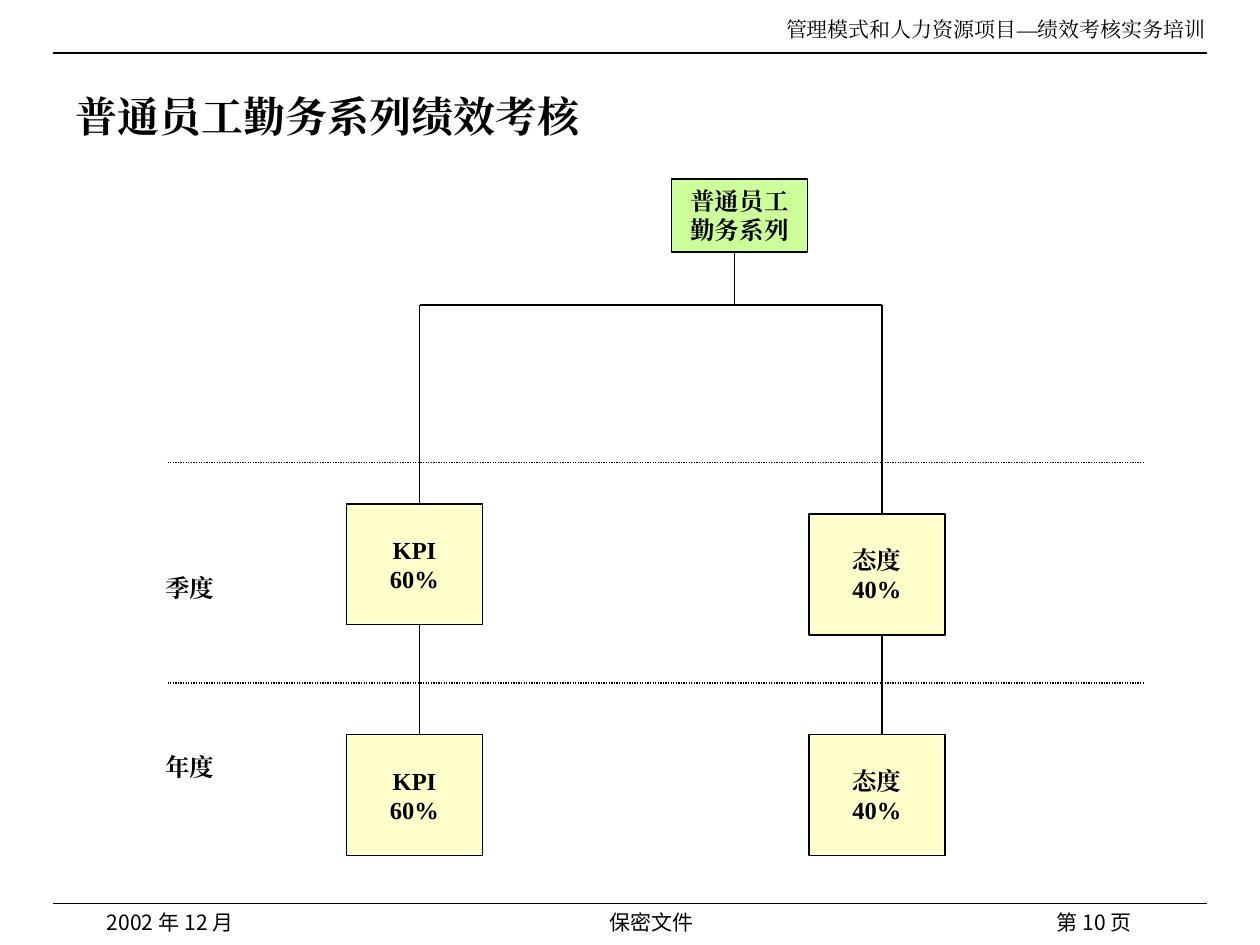
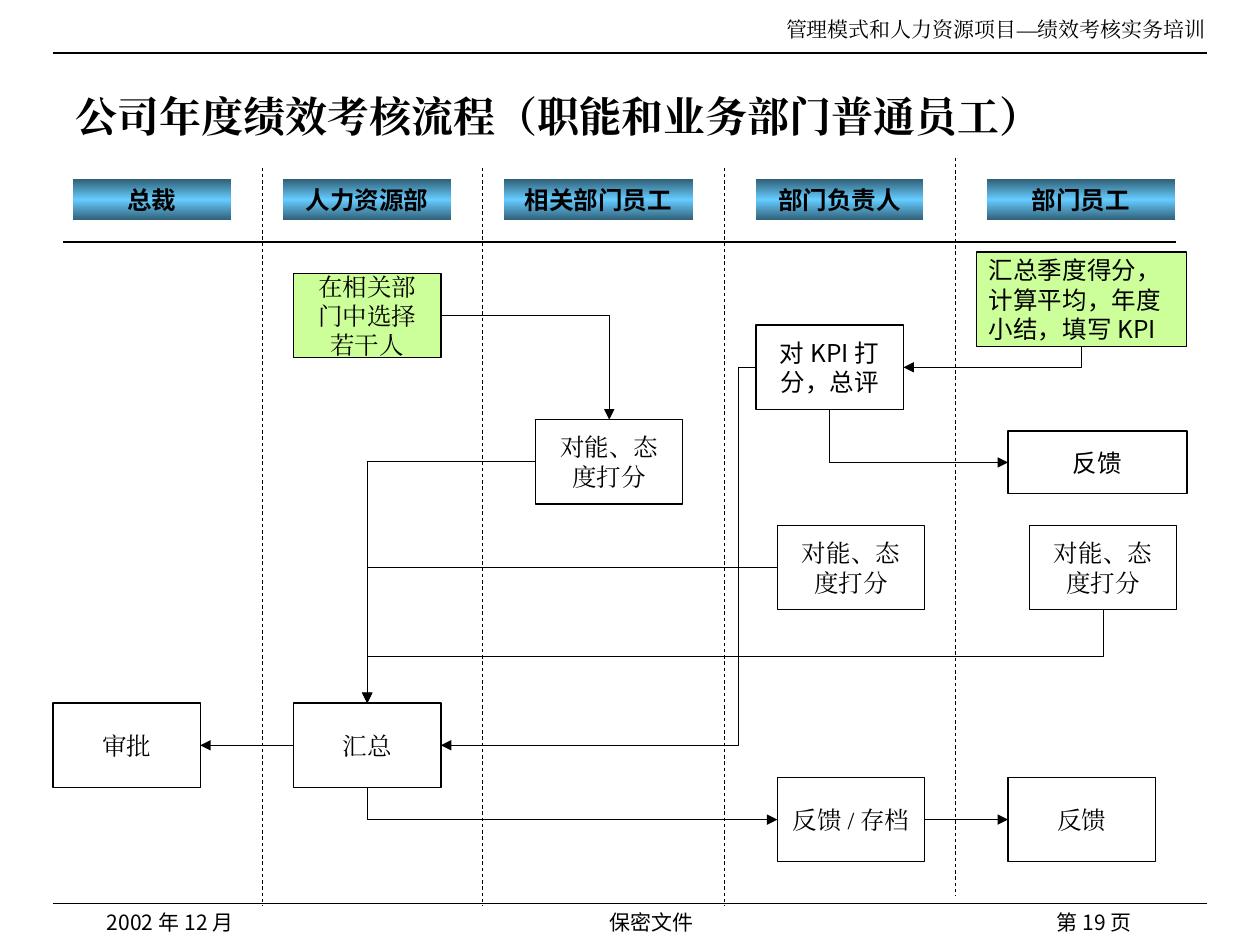
from copy import deepcopy

from pptx import Presentation
from pptx.dml.color import RGBColor
from pptx.enum.dml import MSO_LINE
from pptx.enum.shapes import MSO_CONNECTOR, MSO_SHAPE
from pptx.enum.text import MSO_ANCHOR, PP_ALIGN
from pptx.oxml.ns import qn
from pptx.util import Inches, Pt

LEFT, CENTER, RIGHT = PP_ALIGN.LEFT, PP_ALIGN.CENTER, PP_ALIGN.RIGHT
TOP, MIDDLE = MSO_ANCHOR.TOP, MSO_ANCHOR.MIDDLE
STRAIGHT, ELBOW = MSO_CONNECTOR.STRAIGHT, MSO_CONNECTOR.ELBOW
DASH, DOT = MSO_LINE.DASH, MSO_LINE.ROUND_DOT
RECT = MSO_SHAPE.RECTANGLE
SITES = {"top": 0, "left": 1, "bottom": 2, "right": 3}

BLACK, GREEN, CREAM = "000000", "CCFF99", "FFFFCC"
LANE_BLUES = ("2F5E75", "66CCFF", "2F5E75")
SERIF, SANS = "Times New Roman", "Noto Sans CJK SC"


def rgb(hex_color):
    return RGBColor.from_string(hex_color)


def write(shape, text, size=14, font=SERIF, bold=False, align=CENTER, anchor=MIDDLE):
    """Fill a shape with text, one paragraph per line."""
    tf = shape.text_frame
    tf.word_wrap = True
    tf.vertical_anchor = anchor
    for i, line in enumerate(text.split("\n")):
        p = tf.add_paragraph() if i else tf.paragraphs[0]
        p.alignment = align
        r = p.add_run()
        r.text = line
        r.font.size = Pt(size)
        r.font.bold = bold
        r.font.name = font
        r.font.color.rgb = rgb(BLACK)
        east_asian = r.font._element.makeelement(qn("a:ea"), {"typeface": font})
        r.font._element.find(qn("a:latin")).addnext(east_asian)


def add_text(s, x, y, w, h, text, **fmt):
    write(s.shapes.add_textbox(Inches(x), Inches(y), Inches(w), Inches(h)), text, **fmt)


def add_box(s, x, y, w, h, text, fill=None, **fmt):
    sp = s.shapes.add_shape(RECT, Inches(x), Inches(y), Inches(w), Inches(h))
    sp.shadow.inherit = False
    if fill:
        sp.fill.solid()
        sp.fill.fore_color.rgb = rgb(fill)
    else:
        sp.fill.background()
    sp.line.color.rgb = rgb(BLACK)
    sp.line.width = Pt(0.75)
    write(sp, text, **fmt)
    return sp


def style_line(c, width=0.75, dash=None, arrow=False):
    c.line.color.rgb = rgb(BLACK)
    c.line.width = Pt(width)
    if dash:
        c.line.dash_style = dash
    spPr = c._element.spPr
    if arrow:
        ln = spPr.find(qn("a:ln"))
        ln.append(ln.makeelement(qn("a:tailEnd"), {"type": "triangle"}))
    spPr.append(spPr.makeelement(qn("a:effectLst"), {}))


def add_line(s, x1, y1, x2, y2, **style):
    c = s.shapes.add_connector(STRAIGHT, Inches(x1), Inches(y1), Inches(x2), Inches(y2))
    style_line(c, **style)


def turn_downwards(c):
    """Make an elbow leave its start vertically, by a quarter turn."""
    x, y, w, h = c.left, c.top, c.width, c.height
    to_right = c.begin_x < c.end_x
    xfrm = c._element.spPr.xfrm
    xfrm.rot = 270 if to_right else 90
    xfrm.flipH, xfrm.flipV = to_right, False
    c.left, c.top = x + (w - h) // 2, y + (h - w) // 2
    c.width, c.height = h, w


def add_flow(s, start, start_site, end, end_site, bends=1, bend_at=None):
    """Join two boxes with an arrow that has the given number of bends."""
    c = s.shapes.add_connector(ELBOW if bends else STRAIGHT, 0, 0, 0, 0)
    c.begin_connect(start, SITES[start_site])
    c.end_connect(end, SITES[end_site])
    geom = c._element.spPr.find(qn("a:prstGeom"))
    if bends == 1:
        geom.set("prst", "bentConnector2")
    if bend_at is not None:
        guides = geom.get_or_add_avLst()
        guides.append(guides.makeelement(
            qn("a:gd"), {"name": "adj1", "fmla": f"val {round(bend_at * 100000)}"}))
    if bends and start_site == "bottom":
        turn_downwards(c)
    style_line(c, arrow=True)


def add_page(prs, title, number):
    """Add a slide with the shared header, title and footer."""
    s = prs.slides.add_slide(prs.slide_layouts[6])
    for y in (0.42, 7.17):
        add_line(s, 0.42, y, 9.58, y)
    small = {"size": 12, "anchor": TOP}
    add_text(s, 5, 0.08, 4.67, 0.3, "管理模式和人力资源项目—绩效考核实务培训",
             align=RIGHT, **small)
    add_text(s, 0.75, 7.17, 2.08, 0.25, "2002年12月", font=SANS, align=LEFT, **small)
    add_text(s, 2.92, 7.17, 4.5, 0.25, "保密文件", font=SANS, **small)
    add_text(s, 7, 7.17, 2.08, 0.17, f"第{number}页", font=SANS, align=RIGHT, **small)
    add_text(s, 0.5, 0.58, 8.92, 0.67, title, size=24, bold=True, align=LEFT)
    return s


def add_weight_tree(s, x, y, w):
    """Draw the root, its two measures and the two periods below it."""
    branch_y, annual_y = y + 1, y + 4.41
    root_x, box_w, box_h = x + 4.5, 1.08, 0.96
    measures = [("KPI\n60%", x + 2, y + 2.58), ("态度\n40%", x + 5.67, y + 2.66)]

    add_line(s, measures[0][1], branch_y, measures[1][1], branch_y)
    add_line(s, root_x, y + 0.58, root_x, branch_y)
    add_box(s, root_x - 0.5, y, box_w, 0.58, "普通员工勤务系列", fill=GREEN, bold=True)
    for text, stem_x, quarter_y in measures:
        add_line(s, stem_x, branch_y, stem_x, annual_y)
        for box_y in (quarter_y, annual_y):
            add_box(s, stem_x - 0.58, box_y, box_w, box_h, text, fill=CREAM, bold=True)

    for period, rule_y, label_y in (("季度", y + 2.25, y + 3.08), ("年度", y + 4, y + 4.5)):
        add_line(s, x, rule_y, x + w, rule_y, dash=DOT)
        add_text(s, x - 0.41, label_y, 1.17, 0.34, period, bold=True, anchor=TOP)


def add_lane_head(s, x, y, w, text):
    sp = add_box(s, x, y, w, 0.33, text, font=SANS, bold=True)
    sp.line.fill.background()
    sp.fill.gradient()
    sp.fill.gradient_angle = 90
    stops = sp._element.spPr.find(qn("a:gradFill")).find(qn("a:gsLst"))
    stops.append(deepcopy(stops[0]))
    for i, (stop, color) in enumerate(zip(sp.fill.gradient_stops, LANE_BLUES)):
        stop.position = i / 2
        stop.color.rgb = rgb(color)


def add_lanes(s, x, y, w):
    """Draw the lane heads, the rule under them and the lane dividers."""
    heads = [("总裁", 0.08, 1.25), ("人力资源部", 1.75, 1.33), ("相关部门员工", 3.5, 1.5),
             ("部门负责人", 5.5, 1.33), ("部门员工", 7.33, 1.5)]
    for text, dx, head_w in heads:
        add_lane_head(s, x + dx, y + 0.09, head_w, text)
    add_line(s, x, y + 0.59, x + w, y + 0.59)
    for dx, dy in ((1.58, 0), (3.33, 0), (5.25, 0), (7.08, -0.08)):
        add_line(s, x + dx, y + dy, x + dx, y + dy + 5.86, width=0.5, dash=DASH)


def add_review_flow(s, x, y):
    """Draw the steps of the yearly review and the arrows between them."""
    def step(dx, dy, text, w=1.17, h=0.67, **fmt):
        return add_box(s, x + dx, y + dy, w, h, text, **fmt)

    rating = "对能、态度打分"
    summary = step(7.33, 0, "汇总季度得分，计算平均，年度小结，填写KPI",
                   w=1.67, h=0.75, fill=GREEN, font=SANS, align=LEFT)
    selection = step(1.91, 0.17, "在相关部门中选择若干人", fill=GREEN)
    kpi_score = step(5.58, 0.58, "对KPI打分，总评", font=SANS)
    peer_rating = step(3.83, 1.33, rating)
    kpi_feedback = step(7.58, 1.42, "反馈", w=1.42, h=0.5, font=SANS)
    head_rating = step(5.75, 2.17, rating)
    self_rating = step(7.75, 2.17, rating)
    approval = step(0, 3.58, "审批")
    total = step(1.91, 3.58, "汇总")
    filing = step(5.75, 4.17, "反馈/存档")
    final_feedback = step(7.58, 4.17, "反馈")

    add_flow(s, summary, "bottom", kpi_score, "right")
    add_flow(s, kpi_score, "bottom", kpi_feedback, "left")
    add_flow(s, kpi_score, "left", total, "right", bends=2, bend_at=0.055)
    add_flow(s, selection, "right", peer_rating, "top")
    add_flow(s, peer_rating, "left", total, "top")
    add_flow(s, head_rating, "left", total, "top")
    add_flow(s, self_rating, "bottom", total, "top", bends=2)
    add_flow(s, total, "left", approval, "right", bends=0)
    add_flow(s, total, "bottom", filing, "left")
    add_flow(s, filing, "right", final_feedback, "left", bends=0)


def main():
    prs = Presentation()
    prs.slide_width, prs.slide_height = Inches(10), Inches(7.5)

    s = add_page(prs, "普通员工勤务系列绩效考核", 10)
    add_weight_tree(s, 1.33, 1.42, 7.75)

    s = add_page(prs, "公司年度绩效考核流程（职能和业务部门普通员工）", 19)
    add_lanes(s, 0.5, 1.33, 8.83)
    add_review_flow(s, 0.42, 2)

    prs.save("out.pptx")


if __name__ == "__main__":
    main()
